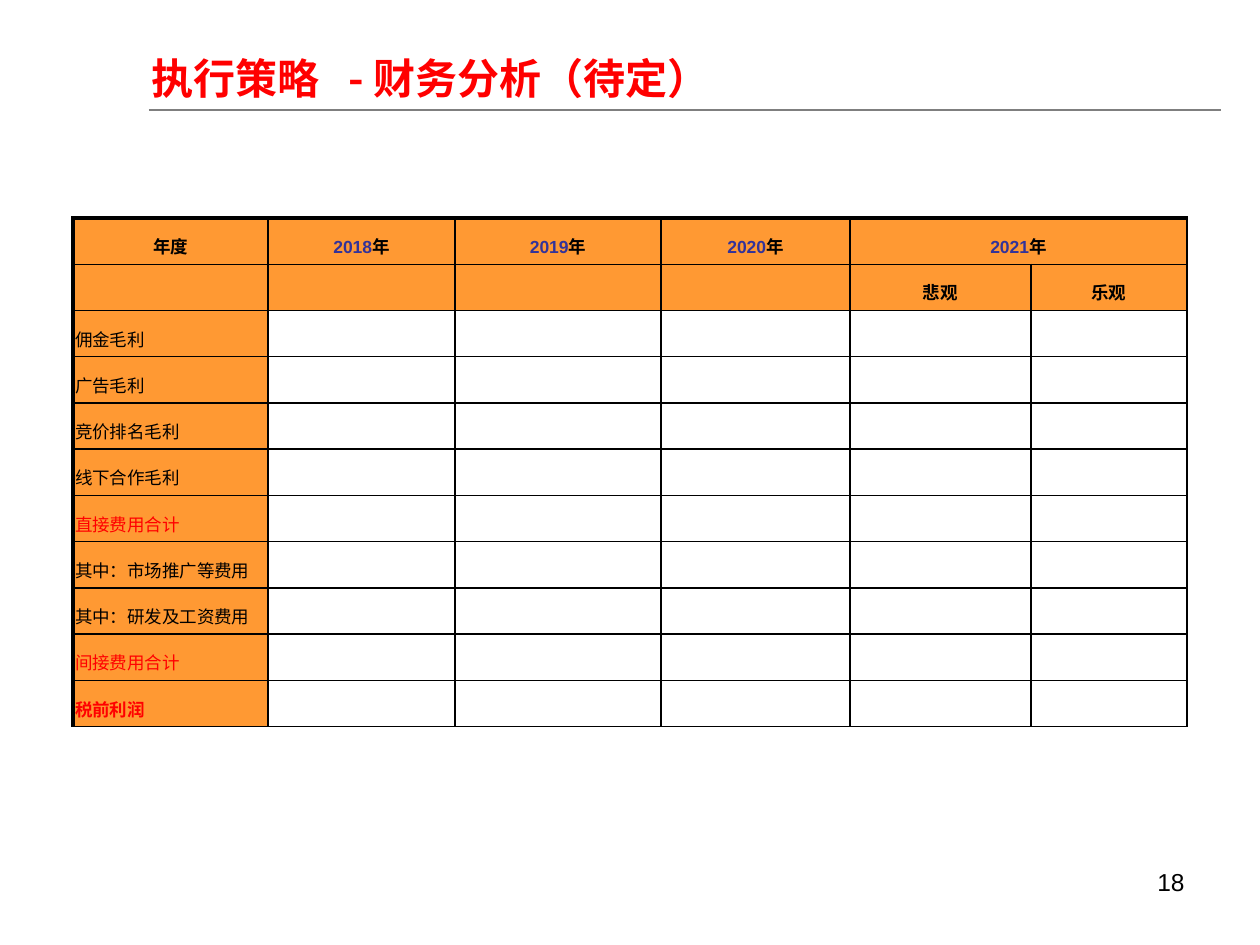
from pptx import Presentation
from pptx.dml.color import RGBColor
from pptx.enum.shapes import MSO_CONNECTOR
from pptx.enum.text import MSO_ANCHOR, PP_ALIGN
from pptx.oxml.ns import qn
from pptx.util import Inches, Pt
from lxml.etree import SubElement

PX_PER_INCH = 126
COLORS = {
    "ink": "000000", "red": "FF0000", "year": "333399",
    "orange": "FF9933", "rule": "7F7F7F",
}
COLUMN_WIDTHS = [195, 187, 206, 189, 181, 156]
YEARS = ["2018", "2019", "2020", "2021"]
SCENARIOS = ["悲观", "乐观"]
ITEMS = [
    "佣金毛利", "广告毛利", "竞价排名毛利", "线下合作毛利", "直接费用合计",
    "其中：市场推广等费用", "其中：研发及工资费用", "间接费用合计", "税前利润",
]
TOTALS = {"直接费用合计", "间接费用合计", "税前利润"}
PROFIT = "税前利润"


def px(length):
    """Turn pixels into EMU."""
    return Inches(length / PX_PER_INCH)


def rgb(name):
    """Look up a colour by name."""
    return RGBColor.from_string(COLORS[name])


def style_font(font, size, color, bold=False, face="Arial"):
    """Set the face, size, colour and weight of a font."""
    font.name = face
    font.size = Pt(size)
    font.bold = bold
    font.color.rgb = rgb(color)


def add_title(slide, text):
    """Place the slide title in its placeholder."""
    title = slide.shapes.title
    title.left, title.top, title.width, title.height = map(px, (139, 44, 940, 67))
    frame = title.text_frame
    frame.text = text
    frame.word_wrap = True
    frame.vertical_anchor = MSO_ANCHOR.MIDDLE
    heading = frame.paragraphs[0]
    heading.alignment = PP_ALIGN.LEFT
    style_font(heading.font, 24, "red", True, "Noto Sans CJK SC")


def add_rule(slide):
    """Draw the line under the title."""
    rule = slide.shapes.add_connector(
        MSO_CONNECTOR.STRAIGHT, px(149), px(110), px(1221), px(110))
    rule.line.color.rgb = rgb("rule")
    rule.line.width = Pt(1)
    SubElement(rule._element.spPr, qn("a:effectLst"))


def add_page_number(slide, number):
    """Write the page number at the lower right."""
    box = slide.shapes.add_textbox(px(903), px(861), px(294), px(65))
    frame = box.text_frame
    frame.word_wrap = True
    frame.text = number
    page = frame.paragraphs[0]
    page.alignment = PP_ALIGN.RIGHT
    style_font(page.font, 14, "ink")


def set_borders(cell, widths):
    """Give the cell a black border of the given width on each side."""
    properties = cell._tc.get_or_add_tcPr()
    for index, side in enumerate(("lnL", "lnR", "lnT", "lnB")):
        border = SubElement(properties, qn(f"a:{side}"), w=str(Pt(widths[side])))
        fill = SubElement(border, qn("a:solidFill"))
        SubElement(fill, qn("a:srgbClr"), val=COLORS["ink"])
        properties.remove(border)
        properties.insert(index, border)


def format_cell(cell, row, column):
    """Set the fill, margins and borders that the cell's place calls for."""
    cell.margin_left = cell.margin_right = px(2)
    cell.margin_top = cell.margin_bottom = 0
    cell.vertical_anchor = MSO_ANCHOR.MIDDLE
    if row < 2 or column == 0:
        cell.fill.solid()
        cell.fill.fore_color.rgb = rgb("orange")
    else:
        cell.fill.background()
    set_borders(cell, {
        "lnL": 2.25 if column == 0 else 1, "lnR": 1,
        "lnT": 2.25 if row == 0 else 1, "lnB": 1,
    })


def write_label(cell, text, color="ink", bold=True, align=PP_ALIGN.CENTER):
    """Write one label in a table cell."""
    cell.text = text
    label = cell.text_frame.paragraphs[0]
    label.alignment = align
    label.line_spacing = 1.4
    style_font(label.font, 10, color, bold)


def write_year(cell, year):
    """Write a year with its digits in blue."""
    write_label(cell, year)
    heading = cell.text_frame.paragraphs[0]
    heading.runs[0].font.color.rgb = rgb("year")
    heading.add_run().text = "年"


def add_finance_table(slide):
    """Build the financial analysis table."""
    row_count, height = len(ITEMS) + 2, 509
    table = slide.shapes.add_table(
        row_count, len(COLUMN_WIDTHS), px(73), px(218),
        px(sum(COLUMN_WIDTHS)), px(height)).table
    table.first_row = table.horz_banding = False
    for column, width in zip(table.columns, COLUMN_WIDTHS):
        column.width = px(width)
    for row in table.rows:
        row.height = px(height / row_count)
    for row in range(row_count):
        for column in range(len(COLUMN_WIDTHS)):
            format_cell(table.cell(row, column), row, column)
    table.cell(0, 4).merge(table.cell(0, 5))

    write_label(table.cell(0, 0), "年度")
    for column, year in enumerate(YEARS, 1):
        write_year(table.cell(0, column), year)
    for column, scenario in enumerate(SCENARIOS, 4):
        write_label(table.cell(1, column), scenario)
    for row, item in enumerate(ITEMS, 2):
        color = "red" if item in TOTALS else "ink"
        write_label(table.cell(row, 0), item, color, item == PROFIT, PP_ALIGN.LEFT)


def main():
    """Build the slide and save it."""
    deck = Presentation()
    deck.slide_width, deck.slide_height = px(1260), px(945)
    slide = deck.slides.add_slide(deck.slide_layouts[5])
    add_finance_table(slide)
    add_page_number(slide, "18")
    add_rule(slide)
    add_title(slide, "执行策略   - 财务分析（待定）")
    deck.save("out.pptx")


if __name__ == "__main__":
    main()
